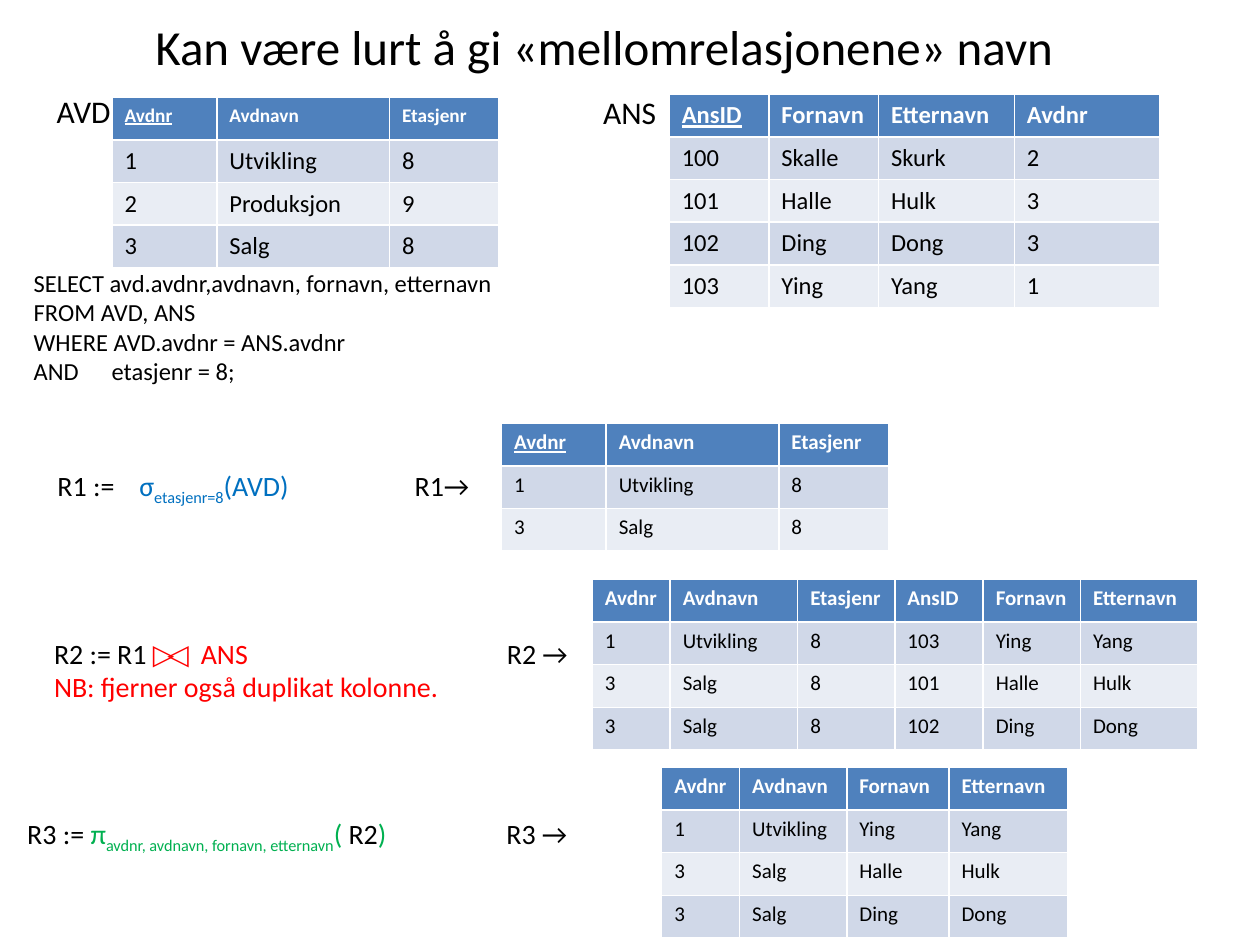
import pptx
import pptx.dml.color
import pptx.enum.text
import pptx.oxml.ns
import pptx.util
from lxml import etree
from pptx.util import Cm

RGBColor = pptx.dml.color.RGBColor
BLACK = RGBColor(0x00, 0x00, 0x00)
WHITE = RGBColor(0xFF, 0xFF, 0xFF)
BLUE = RGBColor(0x00, 0x70, 0xC0)
GREEN = RGBColor(0x00, 0xB0, 0x50)
RED = RGBColor(0xFF, 0x00, 0x00)
HEADER_FILL = RGBColor(0x4F, 0x81, 0xBD)
BAND_FILLS = (RGBColor(0xD0, 0xD8, 0xE8), RGBColor(0xE9, 0xED, 0xF4))

FONT = "Calibri"
ROW_HEIGHT = Cm(0.86)
DEPARTMENT_COLUMNS = (2.11, 3.48, 2.21)
DEPARTMENT_HEADER = ("Avdnr", "Avdnavn", "Etasjenr")


def add_text(paragraph, text, size=16, color=BLACK, bold=False, underline=False,
             subscript=False, spacing=0):
    for index, line in enumerate(text.split("\n")):
        if index:
            paragraph.add_line_break()
        if not line:
            continue
        run = paragraph.add_run()
        run.text = line
        run.font.name = FONT
        run.font.size = pptx.util.Pt(size)
        run.font.bold = bold
        run.font.underline = underline
        run.font.color.rgb = color
        properties = run.font._element
        if subscript:
            properties.set("baseline", "-25000")
        if spacing:
            properties.set("spc", str(spacing * 100))


def add_tab_stops(paragraph, positions):
    properties = paragraph._p.get_or_add_pPr()
    tab_list = etree.SubElement(properties, pptx.oxml.ns.qn("a:tabLst"))
    for position in positions:
        tab = etree.SubElement(tab_list, pptx.oxml.ns.qn("a:tab"))
        tab.set("pos", str(Cm(position)))
        tab.set("algn", "l")


def add_text_box(slide, left, top, width, height, runs, tabs=()):
    shape = slide.shapes.add_textbox(Cm(left), Cm(top), Cm(width), Cm(height))
    shape.text_frame.word_wrap = True
    paragraph = shape.text_frame.paragraphs[0]
    if tabs:
        add_tab_stops(paragraph, tabs)
    for text, text_format in runs:
        add_text(paragraph, text, **text_format)
    return shape


def add_relation(slide, left, top, column_widths, rows, size=12, header_size=12, key=False):
    shape = slide.shapes.add_table(
        len(rows), len(column_widths), Cm(left), Cm(top),
        Cm(sum(column_widths)), ROW_HEIGHT * len(rows))
    table = shape.table
    for column, width in zip(table.columns, column_widths):
        column.width = Cm(width)
    for row_index, values in enumerate(rows):
        table.rows[row_index].height = ROW_HEIGHT
        is_header = row_index == 0
        for column_index, value in enumerate(values):
            cell = table.cell(row_index, column_index)
            cell.fill.solid()
            cell.fill.fore_color.rgb = HEADER_FILL if is_header else BAND_FILLS[(row_index - 1) % 2]
            add_text(cell.text_frame.paragraphs[0], value,
                     size=header_size if is_header else size,
                     color=WHITE if is_header else BLACK, bold=is_header,
                     underline=key and is_header and column_index == 0)


def add_title(slide):
    title = add_text_box(slide, 0.89, 0.23, 22.58, 1.4,
                         [("Kan være lurt å gi «mellomrelasjonene» navn", {"size": 28})])
    title.text_frame.vertical_anchor = pptx.enum.text.MSO_ANCHOR.MIDDLE
    title.text_frame.paragraphs[0].alignment = pptx.enum.text.PP_ALIGN.CENTER


def add_source_relations(slide):
    add_text_box(slide, 11.91, 1.75, 1.6, 1.02, [("ANS", {"size": 18})])
    add_relation(slide, 13.49, 1.9, (2.01, 2.21, 2.74, 2.92), [
        ("AnsID", "Fornavn", "Etternavn", "Avdnr"),
        ("100", "Skalle", "Skurk", "2"),
        ("101", "Halle", "Hulk", "3"),
        ("102", "Ding", "Dong", "3"),
        ("103", "Ying", "Yang", "1"),
    ], size=14, header_size=14, key=True)
    add_relation(slide, 2.26, 1.96, DEPARTMENT_COLUMNS, [
        DEPARTMENT_HEADER,
        ("1", "Utvikling", "8"),
        ("2", "Produksjon", "9"),
        ("3", "Salg", "8"),
    ], size=14, header_size=11, key=True)
    add_text_box(slide, 0.89, 1.73, 3.2, 1.02, [("AVD", {"size": 18})])


def add_query(slide):
    query = ("SELECT avd.avdnr,avdnavn, fornavn, etternavn\nFROM AVD, ANS\n"
             "WHERE AVD.avdnr = ANS.avdnr\nAND\tetasjenr = 8;")
    add_text_box(slide, 0.43, 5.28, 10.11, 2.64, [(query, {"size": 14})], tabs=(1.57,))


def add_selection(slide):
    add_text_box(slide, 0.91, 9.32, 9.19, 0.94, [
        ("R1 :=\t", {}),
        ("σ", {"color": BLUE}),
        ("etasjenr=8", {"color": BLUE, "subscript": True}),
        ("(AVD)\t", {"color": BLUE}),
        ("R1→", {}),
    ], tabs=(1.65, 7.2))
    add_relation(slide, 10.11, 8.53, DEPARTMENT_COLUMNS, [
        DEPARTMENT_HEADER,
        ("1", "Utvikling", "8"),
        ("3", "Salg", "8"),
    ], key=True)


def add_join(slide):
    add_text_box(slide, 0.84, 12.7, 11.07, 1.63, [
        ("R2 := R1 ", {}),
        ("▷◁", {"color": RED, "spacing": -4}),
        ("\tANS\t", {"color": RED}),
        ("R2 →\n", {}),
        ("NB: fjerner også duplikat kolonne.", {"color": RED}),
    ], tabs=(2.96, 9.13))
    add_relation(slide, 11.94, 11.68, (1.57, 2.57, 1.96, 1.78, 1.96, 2.36), [
        ("Avdnr", "Avdnavn", "Etasjenr", "AnsID", "Fornavn", "Etternavn"),
        ("1", "Utvikling", "8", "103", "Ying", "Yang"),
        ("3", "Salg", "8", "101", "Halle", "Hulk"),
        ("3", "Salg", "8", "102", "Ding", "Dong"),
    ])


def add_projection(slide):
    add_text_box(slide, 0.3, 16.33, 12.9, 0.94, [
        ("R3 := ", {}),
        ("π", {"color": GREEN}),
        ("avdnr, avdnavn, fornavn, etternavn", {"color": GREEN, "subscript": True}),
        ("( ", {"color": GREEN}),
        ("R2", {}),
        (")\t", {"color": GREEN}),
        ("R3 →", {}),
    ], tabs=(9.66,))
    add_relation(slide, 13.34, 15.47, (1.57, 2.16, 2.06, 2.39), [
        ("Avdnr", "Avdnavn", "Fornavn", "Etternavn"),
        ("1", "Utvikling", "Ying", "Yang"),
        ("3", "Salg", "Halle", "Hulk"),
        ("3", "Salg", "Ding", "Dong"),
    ])


def main():
    presentation = pptx.Presentation()
    presentation.slide_width = Cm(25.4)
    presentation.slide_height = Cm(19.05)
    slide = presentation.slides.add_slide(presentation.slide_layouts[6])
    add_title(slide)
    add_source_relations(slide)
    add_query(slide)
    add_selection(slide)
    add_join(slide)
    add_projection(slide)
    presentation.save("out.pptx")


if __name__ == "__main__":
    main()
